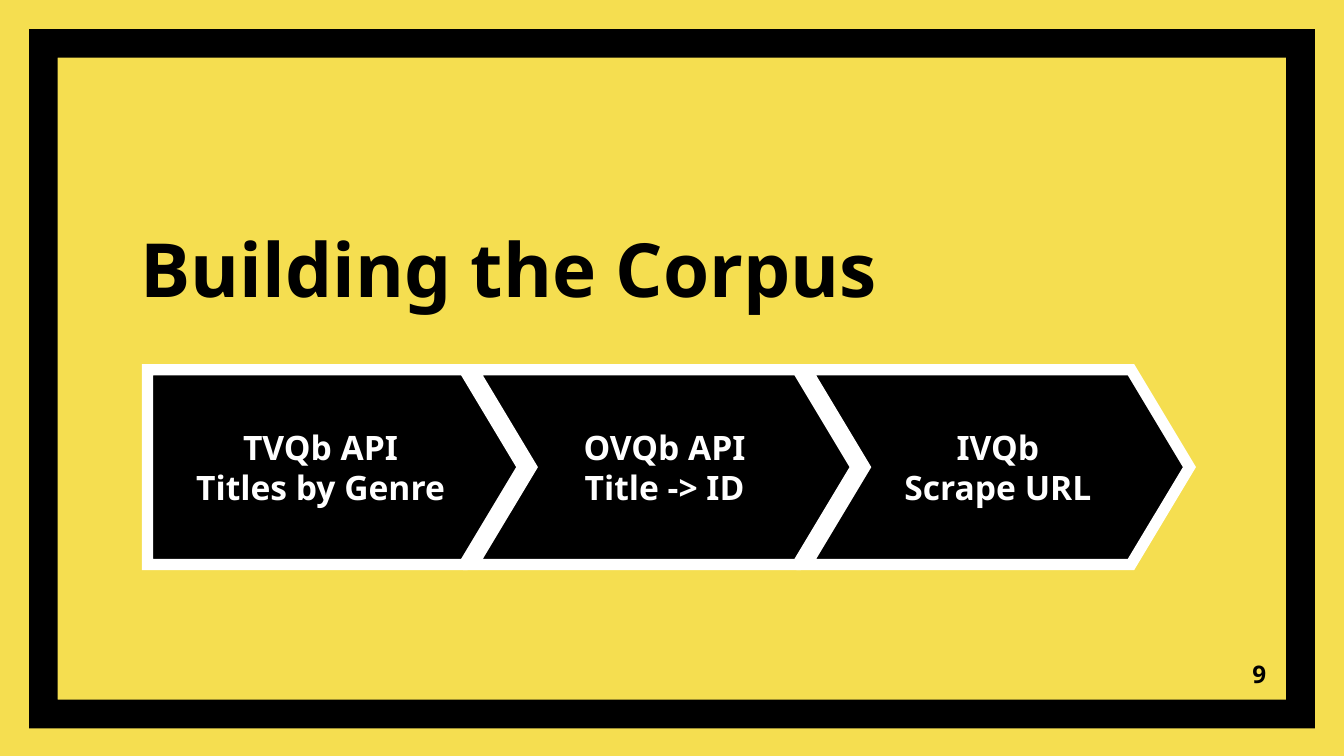
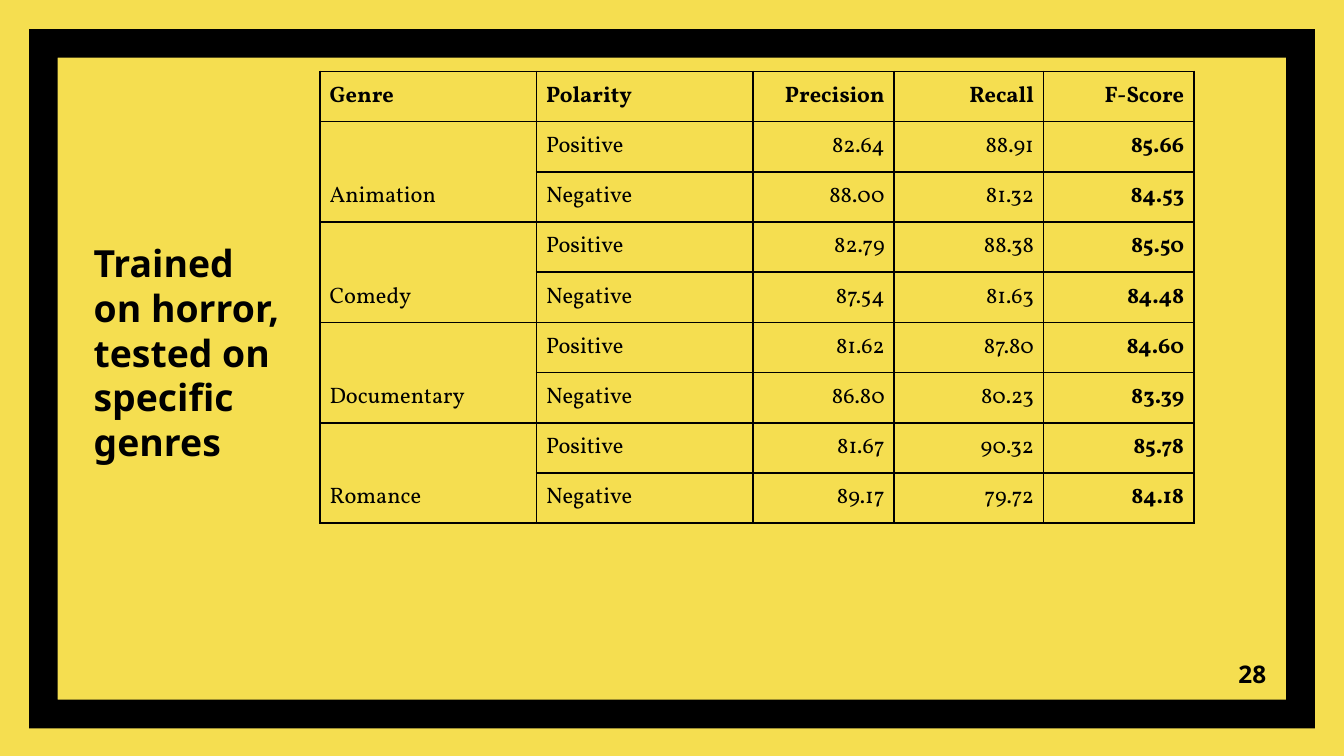
"""Build two slides on the film review corpus: how it was gathered and the scores by genre."""
from lxml.etree import SubElement
from pptx import Presentation
from pptx.dml.color import RGBColor
from pptx.enum.shapes import MSO_SHAPE as Shape
from pptx.enum.text import MSO_ANCHOR as Anchor, MSO_AUTO_SIZE as AutoSize, PP_ALIGN as Align
from pptx.oxml.ns import qn
from pptx.util import Cm, Pt

YELLOW, BLACK, WHITE = "F5DE50", "000000", "FFFFFF"
SANS, SERIF = "Noto Sans", "Vollkorn"
TITLE_ONLY = 5

STEPS = [
    ("TVQb API", "Titles by Genre"),
    ("OVQb API", "Title -> ID"),
    ("IVQb", "Scrape URL"),
]
HEADER = ["Genre", "Polarity", "Precision", "Recall", "F-Score"]
SCORES = {
    "Animation": [("82.64", "88.91", "85.66"), ("88.00", "81.32", "84.53")],
    "Comedy": [("82.79", "88.38", "85.50"), ("87.54", "81.63", "84.48")],
    "Documentary": [("81.62", "87.80", "84.60"), ("86.80", "80.23", "83.39")],
    "Romance": [("81.67", "90.32", "85.78"), ("89.17", "79.72", "84.18")],
}
COLUMN_WIDTHS = [4.09, 4.09, 2.67, 2.82, 2.84]


def color(value):
    return RGBColor.from_string(value)


class Builder:
    def __init__(self):
        self.deck = Presentation()
        self.deck.slide_width, self.deck.slide_height = Cm(25.4), Cm(14.29)
        self.layout = self.deck.slide_layouts[TITLE_ONLY]
        background = self.deck.slide_master.background.fill
        background.solid()
        background.fore_color.rgb = color(YELLOW)
        self.page = None

    def start_page(self):
        is_first = self.page is None
        self.page = self.deck.slides.add_slide(self.layout)
        if is_first:
            self.layout_frame()

    def layout_frame(self):
        frame = self.shape(Shape.FRAME, 0.55, 0.55, 24.3, 13.22, 0.041)
        self.layout.shapes.element.insert(2, frame.element)

    def shape(self, kind, left, top, width, height, adjustment):
        shape = self.page.shapes.add_shape(kind, Cm(left), Cm(top), Cm(width), Cm(height))
        shape.adjustments[0] = adjustment
        shape.shadow.inherit = False
        shape.fill.solid()
        shape.fill.fore_color.rgb = color(BLACK)
        shape.line.fill.background()
        return shape

    def add_lines(self, frame, lines, size, align, font=SANS, ink=BLACK, bold=True):
        for index, line in enumerate(lines):
            para = frame.add_paragraph() if index else frame.paragraphs[0]
            para.alignment = align
            span = para.add_run()
            span.text = line
            span.font.name, span.font.size, span.font.bold = font, Pt(size), bold
            span.font.color.rgb = color(ink)

    def set_frame(self, frame, anchor):
        frame.word_wrap = True
        frame.auto_size = AutoSize.NONE
        frame.vertical_anchor = anchor
        frame.margin_left = frame.margin_right = Cm(0.25)
        frame.margin_top = frame.margin_bottom = Cm(0.25)

    def title(self, text, left, top, width, height, size, anchor):
        box = self.page.shapes.title
        box.left, box.top, box.width, box.height = Cm(left), Cm(top), Cm(width), Cm(height)
        self.set_frame(box.text_frame, anchor)
        self.add_lines(box.text_frame, [text], size, Align.LEFT)

    def page_number(self, text):
        box = self.page.shapes.add_textbox(Cm(22.66), Cm(12.2), Cm(1.52), Cm(1.09))
        self.set_frame(box.text_frame, Anchor.MIDDLE)
        self.add_lines(box.text_frame, [text], 13, Align.RIGHT)

    def step(self, kind, lines, left, width):
        box = self.shape(kind, left, 6.99, width, 3.68, 0.3)
        box.line.color.rgb = color(WHITE)
        box.line.width = Pt(6)
        SubElement(box.element.spPr.find(qn("a:ln")), qn("a:miter"), lim="800000")
        self.set_frame(box.text_frame, Anchor.MIDDLE)
        self.add_lines(box.text_frame, lines, 18, Align.CENTER, ink=WHITE)

    def table(self, rows, left, top, widths, row_height):
        table = self.page.shapes.add_table(
            len(rows), len(widths), Cm(left), Cm(top),
            Cm(sum(widths)), Cm(row_height * len(rows))).table
        table.first_row = table.horz_banding = False
        for column, width in zip(table.columns, widths):
            column.width = Cm(width)
        for row_index, values in enumerate(rows):
            table.rows[row_index].height = Cm(row_height)
            for column_index, text in enumerate(values):
                cell = table.cell(row_index, column_index)
                self.style_cell(cell)
                if text:
                    align = Align.RIGHT if column_index > 1 else Align.LEFT
                    bold = row_index == 0 or column_index == len(widths) - 1
                    self.add_lines(cell.text_frame, [text], 12, align, SERIF, bold=bold)
        return table

    def style_cell(self, cell):
        cell.margin_left = cell.margin_right = Cm(0.18)
        cell.margin_top = cell.margin_bottom = Cm(0.18)
        properties = cell._tc.get_or_add_tcPr()
        for side in ("a:lnL", "a:lnR", "a:lnT", "a:lnB"):
            border = SubElement(properties, qn(side), w=str(Pt(1)))
            fill = SubElement(border, qn("a:solidFill"))
            SubElement(fill, qn("a:srgbClr"), val=BLACK)
        cell.fill.background()


def corpus_slide(builder):
    builder.start_page()
    builder.title("Building the Corpus", 2.41, 2.36, 15.54, 3.79, 40, Anchor.BOTTOM)
    builder.page_number("9")
    for index, lines in enumerate(STEPS):
        if index == 0:
            builder.step(Shape.PENTAGON, lines, 2.79, 7.09)
        else:
            builder.step(Shape.CHEVRON, lines, 2.64 + 6.3 * index, 7.24)


def scores_slide(builder):
    builder.start_page()
    builder.title("Trained on horror, tested on specific genres",
                  1.52, 4.29, 4.17, 5.69, 20, Anchor.TOP)
    builder.page_number("28")
    rows = [HEADER]
    for genre, (positive, negative) in SCORES.items():
        rows += [[genre, "Positive", *positive], ["", "Negative", *negative]]
    table = builder.table(rows, 6.05, 1.35, COLUMN_WIDTHS, 0.94)
    for top in range(1, len(rows), 2):
        genre_cell = table.cell(top, 0)
        genre_cell.merge(table.cell(top + 1, 0))
        genre_cell.vertical_anchor = Anchor.BOTTOM


def main():
    builder = Builder()
    corpus_slide(builder)
    scores_slide(builder)
    builder.deck.save("out.pptx")


if __name__ == "__main__":
    main()
